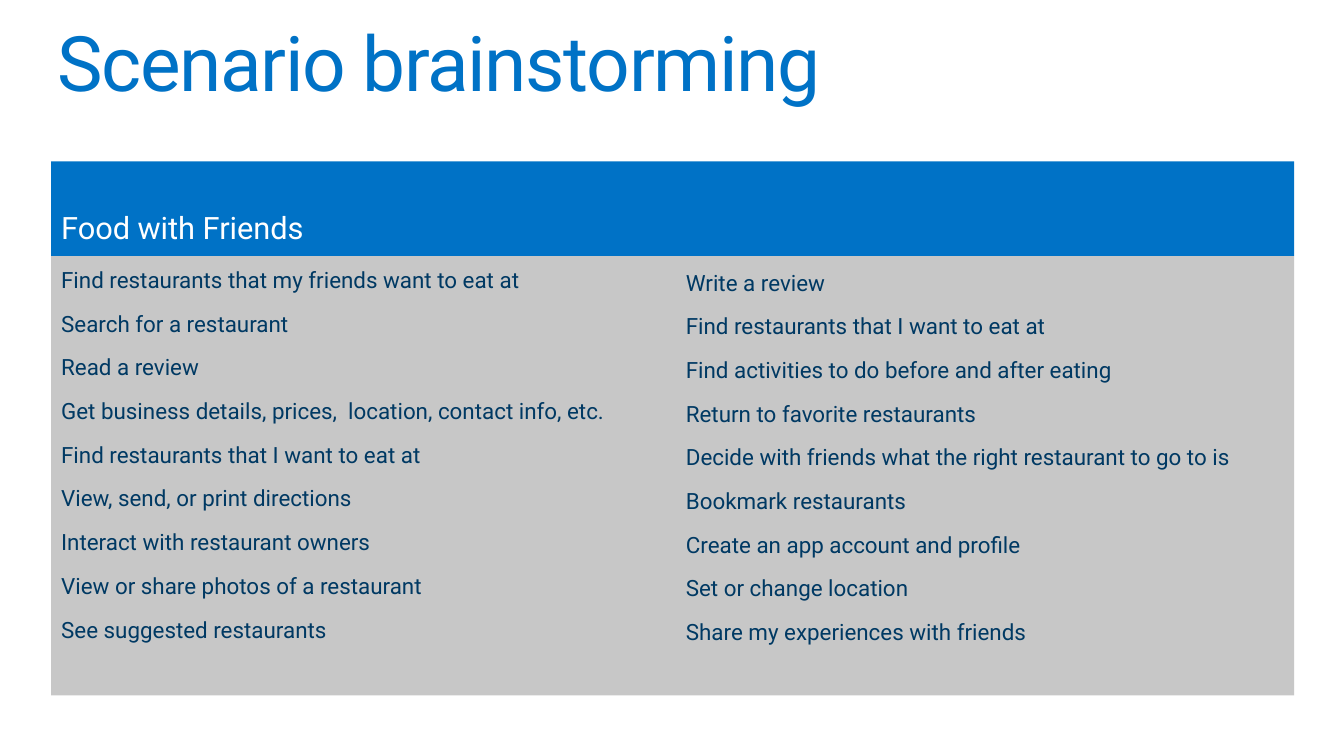
from pptx import Presentation
from pptx.dml.color import RGBColor
from pptx.enum.shapes import MSO_SHAPE
from pptx.enum.text import MSO_ANCHOR, PP_ALIGN
from pptx.util import Pt

PX = 4572  # EMU per px, 200 px to the inch
FONT = "Roboto"
BLUE, NAVY, GREY, WHITE = "0072C6", "003963", "C7C7C7", "FFFFFF"

TITLE = "Scenario brainstorming"
HEADING = "Food with Friends"
LEFT_SCENARIOS = [
    "Find restaurants that my friends want to eat at",
    "Search for a restaurant",
    "Read a review",
    "Get business details, prices,  location, contact info, etc.",
    "Find restaurants that I want to eat at",
    "View, send, or print directions",
    "Interact with restaurant owners",
    "View or share photos of a restaurant",
    "See suggested restaurants",
]
RIGHT_SCENARIOS = [
    "Write a review",
    "Find restaurants that I want to eat at",
    "Find activities to do before and after eating",
    "Return to favorite restaurants",
    "Decide with friends what the right restaurant to go to is",
    "Bookmark restaurants",
    "Create an app account and profile",
    "Set or change location",
    "Share my experiences with friends",
]

PAGE_WIDTH, PAGE_HEIGHT = 2000, 1125
PANEL_LEFT, PANEL_TOP, PANEL_WIDTH = 76, 240, 1850
HEADER_HEIGHT, BODY_HEIGHT = 141, 654


def color(value):
    return RGBColor.from_string(value)


def write(shape, lines, size, ink, insets, anchor=MSO_ANCHOR.TOP,
          line_spacing=1.0, space_after=0):
    """Fill a shape with one paragraph per line; insets are left, top, right, bottom in px."""
    frame = shape.text_frame
    frame.word_wrap = True
    frame.vertical_anchor = anchor
    (frame.margin_left, frame.margin_top,
     frame.margin_right, frame.margin_bottom) = [inset * PX for inset in insets]
    frame.text = "\n".join(lines)
    for paragraph in frame.paragraphs:
        paragraph.alignment = PP_ALIGN.LEFT
        paragraph.line_spacing = line_spacing
        paragraph.space_after = Pt(space_after)
        for span in paragraph.runs:
            span.font.name = FONT
            span.font.size = Pt(size)
            span.font.color.rgb = color(ink)


def add_text_box(page, *bounds):
    return page.shapes.add_textbox(*[length * PX for length in bounds])


def add_band(page, top, height, fill):
    bounds = (PANEL_LEFT, top, PANEL_WIDTH, height)
    band = page.shapes.add_shape(
        MSO_SHAPE.RECTANGLE, *[length * PX for length in bounds])
    band.shadow.inherit = False
    band.fill.solid()
    band.fill.fore_color.rgb = color(fill)
    band.line.fill.background()
    return band


def main():
    deck = Presentation()
    deck.slide_width, deck.slide_height = PAGE_WIDTH * PX, PAGE_HEIGHT * PX
    page = deck.slides.add_slide(deck.slide_layouts[6])

    title = add_text_box(page, 86, 38, 1830, 124)
    write(title, [TITLE], 41, BLUE, (0, 0, 0, 0), line_spacing=0.9)
    title_span = title.text_frame.paragraphs[0].runs[0]
    title_span.font._element.set("spc", "-75")

    body = add_band(page, PANEL_TOP + HEADER_HEIGHT, BODY_HEIGHT, GREY)
    write(body, LEFT_SCENARIOS, 12, NAVY, (15, 15, 8, 8), space_after=9)

    header = add_band(page, PANEL_TOP, HEADER_HEIGHT, BLUE)
    write(header, [HEADING], 16.5, WHITE, (15, 8, 8, 15),
          anchor=MSO_ANCHOR.BOTTOM, line_spacing=0.9)

    right_column = add_text_box(page, 1001, 390, 914, 586)
    write(right_column, RIGHT_SCENARIOS, 12, NAVY, (20, 10, 20, 10), space_after=9)

    deck.save("out.pptx")


if __name__ == "__main__":
    main()
